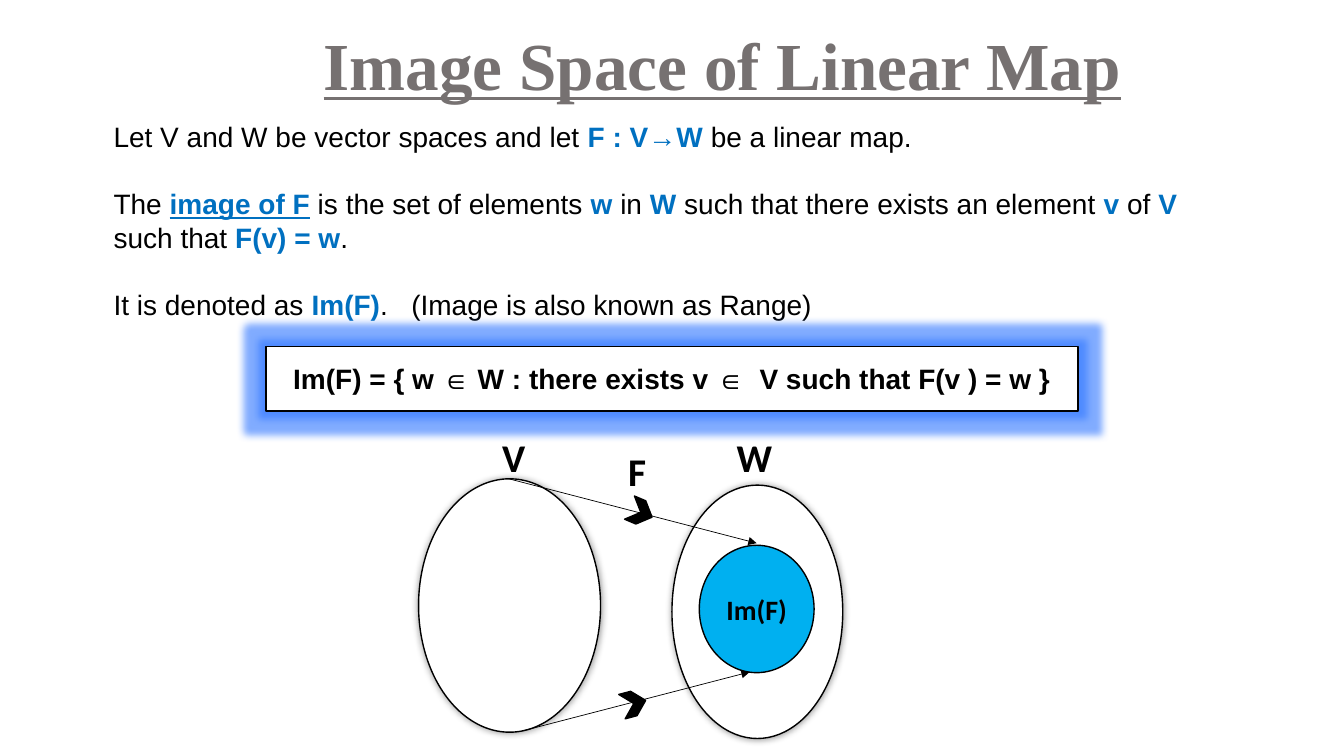
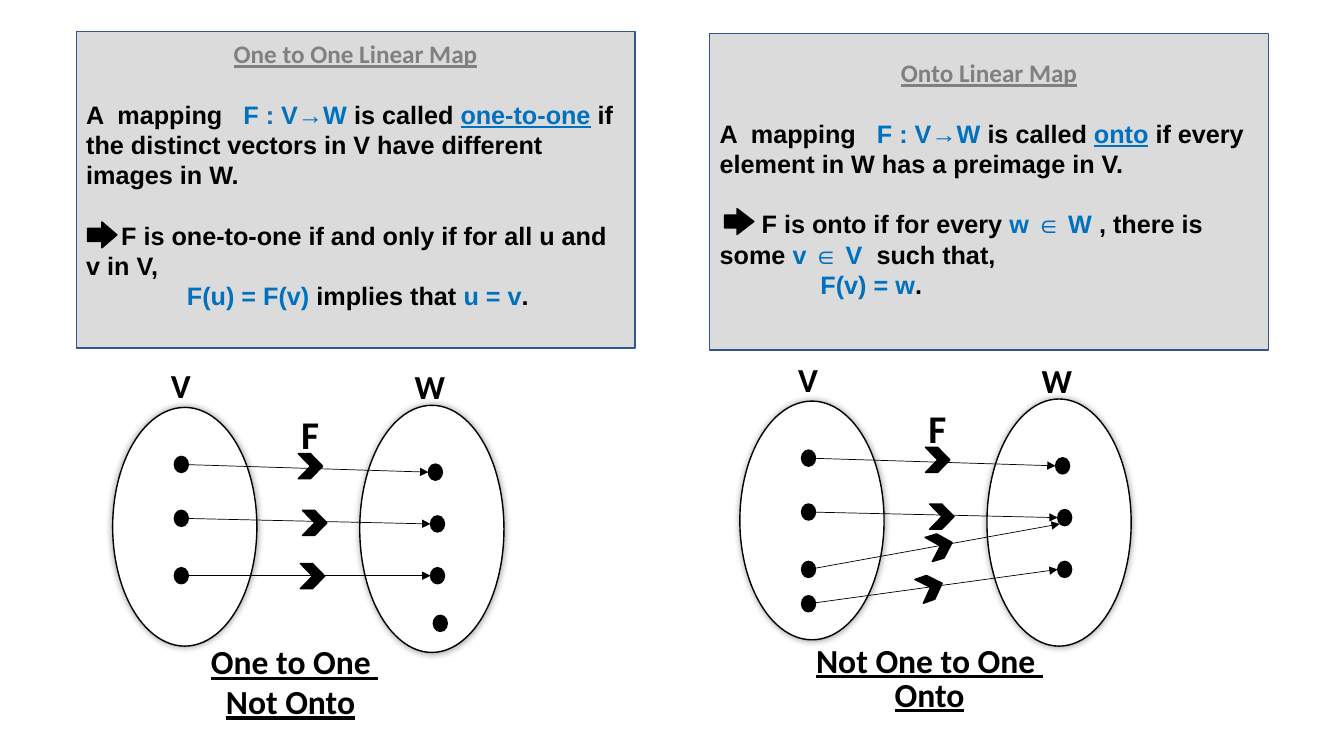
from lxml import etree
from pptx import Presentation
from pptx.dml.color import RGBColor
from pptx.enum.shapes import MSO_CONNECTOR, MSO_SHAPE
from pptx.enum.text import MSO_ANCHOR, MSO_AUTO_SIZE, PP_ALIGN
from pptx.oxml.ns import qn
from pptx.util import Pt

BLACK = RGBColor(0x00, 0x00, 0x00)
WHITE = RGBColor(0xFF, 0xFF, 0xFF)
BLUE = RGBColor(0x00, 0x70, 0xC0)
SKY = RGBColor(0x00, 0xB0, 0xF0)
GLOW = RGBColor(0x2E, 0x75, 0xFF)
TITLE_GRAY = RGBColor(0x76, 0x71, 0x71)
HEADING_GRAY = RGBColor(0x80, 0x80, 0x80)
PANEL_GRAY = RGBColor(0xDB, 0xDB, 0xDB)
PANEL_LINE = RGBColor(0x32, 0x54, 0x91)

SERIF, SANS, LABEL = "Times New Roman", "Arial", "Calibri"
LEFT, CENTER = PP_ALIGN.LEFT, PP_ALIGN.CENTER
TOP, MIDDLE = MSO_ANCHOR.TOP, MSO_ANCHOR.MIDDLE
NO_FIT = MSO_AUTO_SIZE.NONE
RECTANGLE, OVAL = MSO_SHAPE.RECTANGLE, MSO_SHAPE.OVAL
CHEVRON, RIGHT_ARROW = MSO_SHAPE.CHEVRON, MSO_SHAPE.RIGHT_ARROW
DOT = MSO_SHAPE.FLOWCHART_CONNECTOR
STRAIGHT = MSO_CONNECTOR.STRAIGHT

TITLE_ONLY, BLANK = 5, 6
DOT_WIDTH, DOT_HEIGHT = 10, 11.5


class Deck:
    def __init__(self):
        self.presentation = Presentation()
        self.presentation.slide_width = Pt(960)
        self.presentation.slide_height = Pt(540)
        self.slide = None

    def add_slide(self, layout):
        layouts = self.presentation.slide_layouts
        self.slide = self.presentation.slides.add_slide(layouts[layout])

    def format_run(self, run, size, font, color=BLACK, bold=True, underline=False):
        run.font.size = Pt(size)
        run.font.name = font
        run.font.color.rgb = color
        run.font.bold = bold
        run.font.underline = underline

    def set_text(self, text_frame, text, size, font, align=LEFT, **style):
        text_frame.text = text
        text_frame.word_wrap = True
        text_frame.auto_size = NO_FIT
        paragraph = text_frame.paragraphs[0]
        paragraph.alignment = align
        self.format_run(paragraph.runs[0], size, font, **style)

    def set_accented_text(self, paragraph, text, size, pitch, bold):
        paragraph.alignment = LEFT
        paragraph.line_spacing = Pt(pitch)
        for index, part in enumerate(text.split("|")):
            if part:
                accent = index % 2 == 1
                run = paragraph.add_run()
                run.text = part.removeprefix("_")
                self.format_run(run, size, SANS, BLUE if accent else BLACK,
                                bold or accent, part.startswith("_"))

    def title(self, text, left, top, width, height):
        shape = self.slide.shapes.title
        shape.left, shape.top = Pt(left), Pt(top)
        shape.width, shape.height = Pt(width), Pt(height)
        shape.text_frame.vertical_anchor = MIDDLE
        self.set_text(shape.text_frame, text, 48, SERIF, CENTER,
                      color=TITLE_GRAY, underline=True)

    def text_box(self, left, top, width, height):
        shape = self.slide.shapes.add_textbox(Pt(left), Pt(top), Pt(width), Pt(height))
        shape.text_frame.word_wrap = True
        return shape.text_frame

    def label(self, text, left, top, size=28):
        self.set_text(self.text_box(left, top, 34, 41), text, size, LABEL)

    def caption(self, text, center, top):
        self.set_text(self.text_box(center - 120, top, 240, 36), text, 24, LABEL,
                      CENTER, underline=True)

    def body(self, texts, left, top, width, height):
        text_frame = self.text_box(left, top, width, height)
        for index, text in enumerate(texts):
            paragraph = text_frame.add_paragraph() if index else text_frame.paragraphs[0]
            self.set_accented_text(paragraph, text, 20, 24, False)
            paragraph.space_before = Pt(24 if index else 0)

    def shape(self, kind, left, top, width, height, fill=BLACK, line=BLACK):
        shape = self.slide.shapes.add_shape(kind, Pt(left), Pt(top), Pt(width), Pt(height))
        shape.shadow.inherit = False
        shape.fill.solid()
        shape.fill.fore_color.rgb = fill
        shape.line.color.rgb = line
        shape.line.width = Pt(1)
        return shape

    def effect(self, shape, name, color, opacity, **lengths):
        effects = shape.element.spPr.find(qn("a:effectLst"))
        effect = etree.SubElement(effects, qn(name))
        for key, length in lengths.items():
            effect.set(key, str(Pt(length)))
        value = etree.SubElement(effect, qn("a:srgbClr"), val=str(color))
        etree.SubElement(value, qn("a:alpha"), val=str(opacity * 1000))

    def set_oval(self, left, top, width, height):
        shape = self.shape(OVAL, left, top, width, height, WHITE)
        self.effect(shape, "a:outerShdw", BLACK, 40, blurRad=5, dist=0)

    def formula(self, text, left, top, width, height):
        shape = self.shape(RECTANGLE, left, top, width, height, WHITE)
        self.effect(shape, "a:glow", GLOW, 60, rad=11)
        self.set_text(shape.text_frame, text, 20, SANS, CENTER)

    def arrow(self, start, end):
        points = [Pt(value) for value in (*start, *end)]
        connector = self.slide.shapes.add_connector(STRAIGHT, *points)
        connector.line.color.rgb = BLACK
        connector.line.width = Pt(0.5)
        properties = connector.element.spPr
        etree.SubElement(properties.find(qn("a:ln")), qn("a:tailEnd"), type="triangle")
        etree.SubElement(properties, qn("a:effectLst"))

    def chevron(self, left, top, rotation=0):
        self.shape(CHEVRON, left, top, 17.5, 18).rotation = rotation

    def panel(self, heading, paragraphs, left, top, inset):
        shape = self.shape(RECTANGLE, left, top, 399, 226, PANEL_GRAY, PANEL_LINE)
        text_frame = shape.text_frame
        text_frame.vertical_anchor = TOP
        text_frame.margin_top = Pt(inset)
        self.set_text(text_frame, heading, 18, LABEL, CENTER,
                      color=HEADING_GRAY, underline=True)
        text_frame.paragraphs[0].line_spacing = Pt(21.6)
        for text, gap, margin, indent in paragraphs:
            paragraph = text_frame.add_paragraph()
            self.set_accented_text(paragraph, text, 18, 21.6, True)
            paragraph.space_before = Pt(gap)
            properties = paragraph._p.get_or_add_pPr()
            properties.set("marL", str(Pt(margin)))
            properties.set("indent", str(Pt(indent)))

    def pointer(self, left, top, head):
        self.shape(RIGHT_ARROW, left, top, 21, 18.5).adjustments[1] = head

    def mapping(self, left, top, sources, targets, arrows):
        self.set_oval(left, top, 103, 170.5)
        self.set_oval(left + 176.5, top - 1.5, 103, 176.5)
        for x, y in sources + targets:
            self.shape(DOT, left + x, top + y, DOT_WIDTH, DOT_HEIGHT)
        for source, target, shift, chevron_x, chevron_y, rotation in arrows:
            from_x, from_y = sources[source]
            to_x, to_y = targets[target]
            self.arrow((left + from_x + DOT_WIDTH / 2, top + from_y + DOT_HEIGHT / 2),
                       (left + to_x + shift / 3, top + to_y + DOT_HEIGHT / 2 + shift))
            self.chevron(left + chevron_x, top + chevron_y, rotation)
        self.label("F", left + 127.5, top - 1.5)
        self.label("V", left + 34.5, top - 34, 24)
        self.label("W", left + 208.5, top - 33, 24)


def build_image_space(deck):
    deck.add_slide(TITLE_ONLY)
    deck.title("Image Space of Linear Map", 218, 13, 596, 65.5)
    deck.body([
        "Let V and W be vector spaces and let |F : V→W |be a linear map.",
        "The |_image of F| is the set of elements |w |in |W |such that there exists "
        "an element |v |of |V |such that |F(v) = w|.",
        "It is denoted as |Im(F)|.   (Image is also known as Range)",
    ], 74, 82, 779, 160)
    deck.formula("Im(F) = { w ∈ W : there exists v ∈  V such that F(v ) = w }",
                 190, 247.5, 580, 46)
    deck.set_oval(299, 342, 130, 181)
    deck.set_oval(480, 346.5, 122, 181)
    deck.arrow((363.5, 342), (540.5, 388))
    deck.arrow((373.5, 522), (535.5, 480))
    deck.chevron(449, 357, 23)
    deck.chevron(444, 493.5, 345.2)
    deck.label("F", 441.5, 316)
    deck.label("V", 351.5, 306)
    deck.label("W", 519, 306)
    image = deck.shape(OVAL, 499.5, 389.5, 82, 91, SKY)
    deck.set_text(image.text_frame, "Im(F)", 20, LABEL, CENTER)


def build_map_types(deck):
    deck.add_slide(BLANK)
    sources = [(44, 35), (44, 73.5), (44, 114.5)]
    targets = [(225.5, 40.5), (227, 77.5), (227, 114.5)]
    arrows = [(0, 0, 0, 132.5, 33, 0), (1, 1, 0, 135.5, 73.5, 0)]
    deck.mapping(80.5, 291, sources, targets + [(229, 148.5)],
                 arrows + [(2, 2, 0, 134, 111.5, 0)])
    deck.mapping(528.5, 286.5, sources + [(44, 139)], targets,
                 arrows + [(2, 1, 4.5, 134.5, 94.5, 343.4),
                           (3, 2, 0, 127.5, 124, 340.5)])
    for text, center, top in [("One to One ", 210.5, 454.5), ("Not Onto", 207.5, 483),
                              ("Not One to One ", 664, 453.5), ("Onto", 664, 477.5)]:
        deck.caption(text, center, top)
    deck.panel("One to One Linear Map", [
        ("A  mapping   |F : V→W |is called |_one-to-one| if the distinct vectors "
         "in V have different images in W.", 21.6, 0, 0),
        ("F is one-to-one if and only if for all u and v in V,", 21.6, 0, 25),
        ("|F(u) = F(v) |implies that |u = v|.", 0, 72, 0),
    ], 54.5, 22.5, 5)
    deck.pointer(62.5, 158.5, 0.58)
    deck.panel("Onto Linear Map", [
        ("A  mapping   |F : V→W |is called |_onto| if every element in W has "
         "a preimage in V.", 21.6, 0, 0),
        ("F is onto if for every |w ∈ W |, there is some |v ∈ V  |such that,",
         21.6, 0, 30),
        ("|F(v) = w|.", 0, 72, 0),
    ], 507, 24, 17)
    deck.pointer(517.5, 149, 0.65)


def main():
    deck = Deck()
    build_image_space(deck)
    build_map_types(deck)
    deck.presentation.save("out.pptx")


if __name__ == "__main__":
    main()
